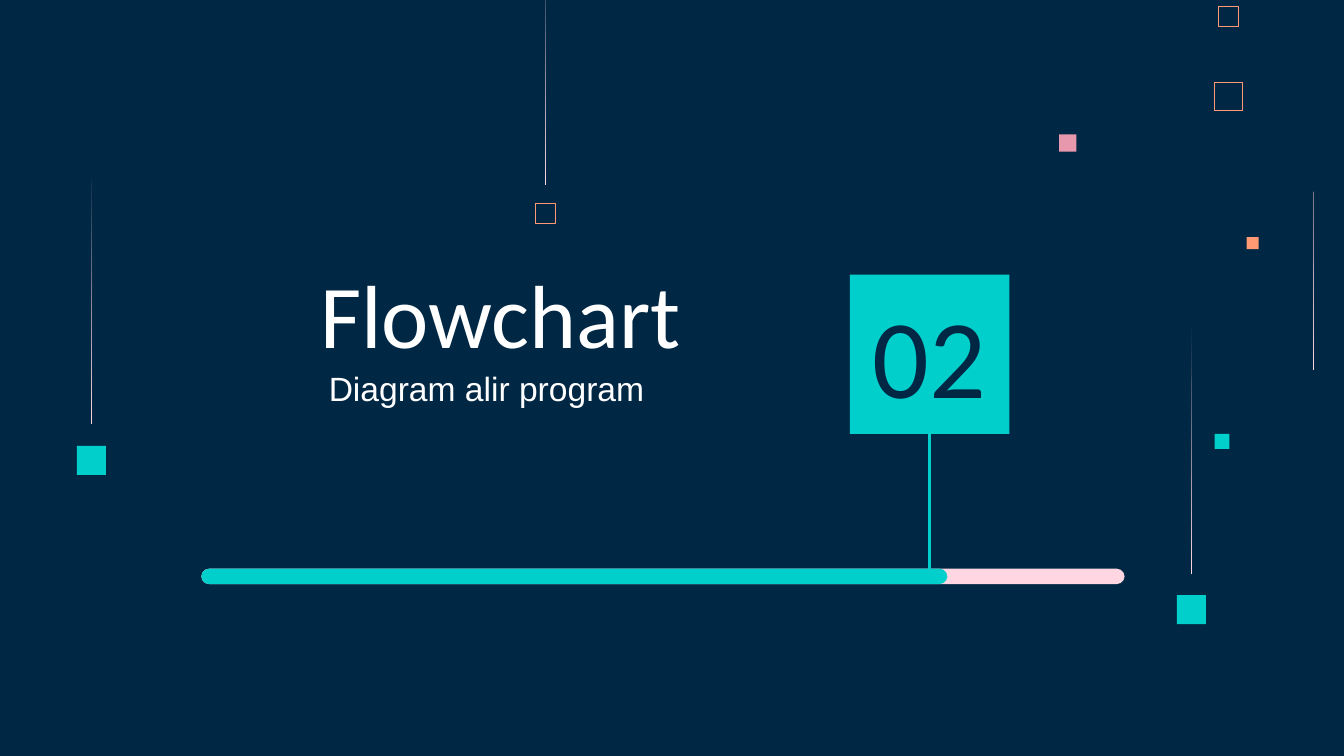
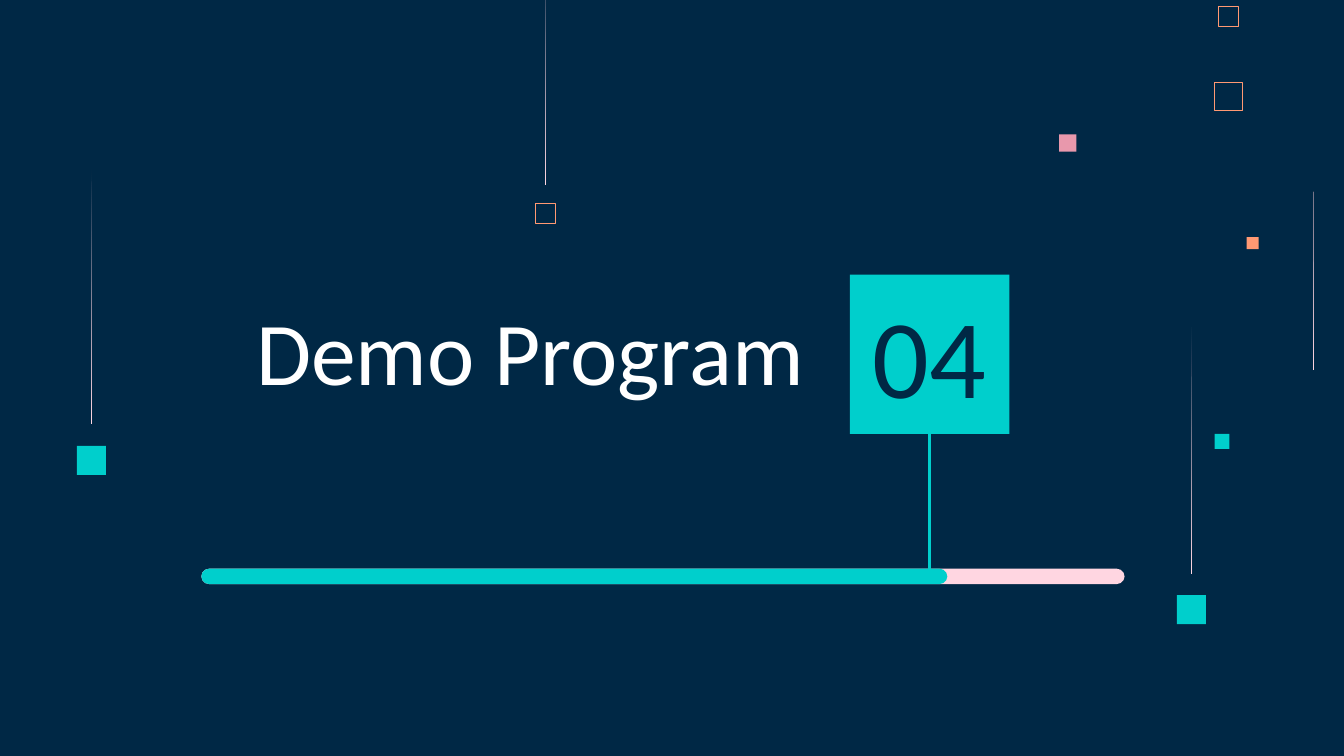
from lxml import etree
from pptx import Presentation
from pptx import util as u
from pptx.dml.color import RGBColor
from pptx.enum import shapes, text
from pptx.oxml import ns

HEX = {"navy": "002845", "teal": "00CFCC", "blush": "FFD6E1",
       "rose": "E898AC", "peach": "FF9973", "white": "FFFFFF"}
RGB = {name: RGBColor.from_string(code) for name, code in HEX.items()}
RECT = shapes.MSO_SHAPE.RECTANGLE
ROUND = shapes.MSO_SHAPE.ROUNDED_RECTANGLE
TOP, MID, LOW = (text.MSO_ANCHOR.TOP, text.MSO_ANCHOR.MIDDLE,
                 text.MSO_ANCHOR.BOTTOM)

# left, top, side, colour
SOLIDS = [(567.4, 72, 9.2, "rose"), (650.7, 232.5, 8, "teal"),
          (667.9, 127.1, 6.4, "peach"), (630.5, 318.8, 15.6, "teal"),
          (41.2, 238.9, 15.6, "teal")]
# left, top, side, line width
FRAMES = [(650.6, 44, 15, 0.45), (652.7, 3.4, 10.6, 0.32),
          (286.9, 108.9, 10.6, 0.32)]
# left, top, bottom
TRAILS = [(291.8, -34.6, 99), (703.6, 0, 198.4),
          (637.9, 166.1, 307.4), (48.5, 85.9, 227.2)]
# number, title, title left, title top, subtitle
PARTS = [("02", "Flowchart", 92.2, 137.5, "Diagram alir program "),
         ("04", "Demo Program", 108, 157, None)]


def add(slide, kind, box, fill=None, line=None, width=0):
    shape = slide.shapes.add_shape(kind, *map(u.Pt, box))
    shape.shadow.inherit = False
    if fill:
        shape.fill.solid()
        shape.fill.fore_color.rgb = RGB[fill]
    else:
        shape.fill.background()
    if line:
        shape.line.color.rgb = RGB[line]
        shape.line.width = u.Pt(width)
    else:
        shape.line.fill.background()
    return shape


def write(shape, words, box, size, font, color, anchor):
    """Place a text holder and set its one centred line."""
    shape.left, shape.top, shape.width, shape.height = map(u.Pt, box)
    frame = shape.text_frame
    frame.text = words
    frame.word_wrap = True
    frame.auto_size = text.MSO_AUTO_SIZE.NONE
    frame.vertical_anchor = anchor
    frame.margin_left = frame.margin_right = u.Pt(7.2)
    frame.margin_top = frame.margin_bottom = u.Pt(7.2)
    line = frame.paragraphs[0]
    line.alignment = text.PP_ALIGN.CENTER
    line.space_before = u.Pt(0)
    style = line.runs[0].font
    style.size, style.name = u.Pt(size), font
    style.color.rgb = RGB[color]


prs = Presentation()
prs.slide_width, prs.slide_height = u.Pt(720), u.Pt(405)
back = prs.slide_master.background.fill
back.solid()
back.fore_color.rgb = RGB["navy"]

for num, name, left, top, sub in PARTS:
    slide = prs.slides.add_slide(prs.slide_layouts[0])

    # Scattered squares and fading trails
    for x, y, side, color in SOLIDS:
        add(slide, RECT, (x, y, side, side), color)
    for x, y, side, width in FRAMES:
        add(slide, RECT, (x, y, side, side), None, "peach", width)
    for x, y, end in TRAILS:
        pen = slide.shapes.build_freeform(u.Pt(x + 0.72), u.Pt(y))
        pen.add_line_segments([(u.Pt(x), u.Pt(end)),
                               (u.Pt(x + 0.72), u.Pt(end))])
        trail = pen.convert_to_shape()
        trail.shadow.inherit = False
        trail.line.fill.background()
        trail.fill.gradient()
        trail.fill.gradient_angle = 270
        for stop, color in zip(trail.fill.gradient_stops, ("navy", "blush")):
            stop.color.rgb = RGB[color]

    # Headings
    write(slide.shapes.title, name, (left, top, 352, 66.2),
          48, "Calibri", "white", LOW)
    note = slide.placeholders[1]
    if sub:
        write(note, sub, (141.1, 190.1, 244.1, 82.8),
              18, "Arial", "white", TOP)
    else:
        note.element.getparent().remove(note.element)

    # Number tile
    add(slide, RECT, (455.3, 147.1, 85.4, 85.4), "teal")
    label = slide.shapes.add_textbox(0, 0, 0, 0)
    write(label, num, (459.4, 167, 77, 45.4), 60, "Calibri", "navy", MID)

    # Progress bar and its stem
    for width, color in ((494.6, "blush"), (399.6, "teal")):
        bar = add(slide, ROUND, (107.9, 304.7, width, 8.2), color)
        bar.adjustments[0] = 0.5
    stem = slide.shapes.add_connector(
        shapes.MSO_CONNECTOR.STRAIGHT,
        *map(u.Pt, (498, 232.5, 498, 309.4)))
    stem.line.color.rgb = RGB["teal"]
    stem.line.width = u.Pt(1.5)
    etree.SubElement(stem.element.spPr, ns.qn("a:effectLst"))

prs.save("out.pptx")
